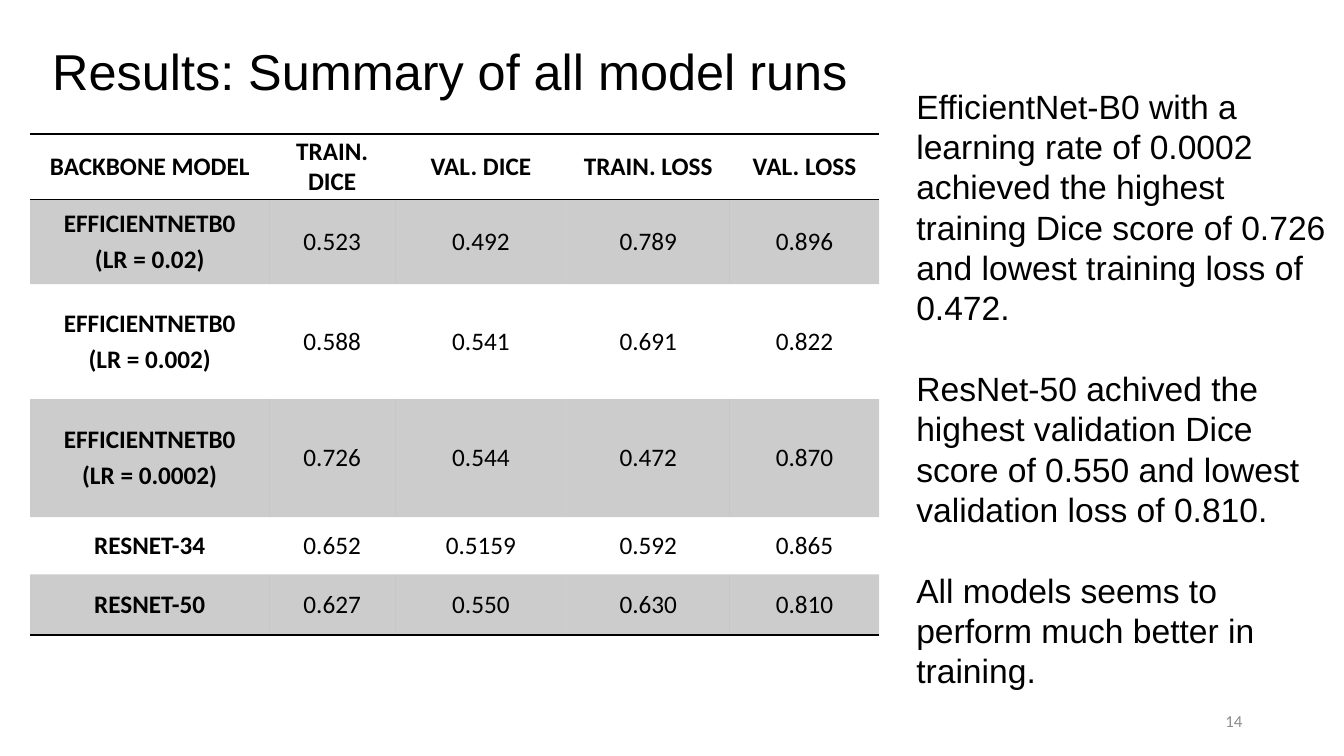
from lxml import etree
from pptx import Presentation
from pptx.dml.color import RGBColor
from pptx.enum.text import MSO_ANCHOR, PP_ALIGN
from pptx.oxml.ns import qn
from pptx.util import Inches, Pt

MIDDLE, TOP = MSO_ANCHOR.MIDDLE, MSO_ANCHOR.TOP
LEFT, CENTER, RIGHT = PP_ALIGN.LEFT, PP_ALIGN.CENTER, PP_ALIGN.RIGHT
BLACK, GRAY = "000000", "8C8C8C"
COLUMN_WIDTHS = [2.37, 1.25, 1.7, 1.62, 1.48]
ROW_HEIGHTS = [0.65, 0.84, 1.14, 1.17, 0.57, 0.6]
RESULTS = [
    ["BACKBONE MODEL", "TRAIN. DICE", "VAL. DICE", "TRAIN. LOSS", "VAL. LOSS"],
    ["EFFICIENTNETB0\n(LR = 0.02)", "0.523", "0.492", "0.789", "0.896"],
    ["EFFICIENTNETB0\n(LR = 0.002)", "0.588", "0.541", "0.691", "0.822"],
    ["EFFICIENTNETB0\n(LR = 0.0002)", "0.726", "0.544", "0.472", "0.870"],
    ["RESNET-34", "0.652", "0.5159", "0.592", "0.865"],
    ["RESNET-50", "0.627", "0.550", "0.630", "0.810"],
]
FINDINGS = [
    "EfficientNet-B0 with a learning rate of 0.0002 achieved the highest "
    "training Dice score of 0.726 and lowest training loss of 0.472.",
    "ResNet-50 achived the highest validation Dice score of 0.550 and lowest "
    "validation loss of 0.810.",
    "All models seems to perform much better in training.",
]


def color(value):
    return RGBColor.from_string(value)


def write(frame, lines, size, font="Arial", fill=BLACK, bold=False, align=LEFT,
          line_spacing=None, before=0, after=0):
    """Fill a text frame with one paragraph per line; the first has no space before."""
    frame.word_wrap = True
    for index, line in enumerate(lines):
        paragraph = frame.add_paragraph() if index else frame.paragraphs[0]
        paragraph.alignment = align
        paragraph.line_spacing = line_spacing
        paragraph.space_before = Pt(before if index else 0)
        paragraph.space_after = Pt(after)
        run = paragraph.add_run()
        run.text = line
        run.font.size, run.font.name, run.font.bold = Pt(size), font, bold
        run.font.color.rgb = color(fill)


def add_text(slide, box, lines, size, anchor=TOP, **text_format):
    shape = slide.shapes.add_textbox(*map(Inches, box))
    shape.text_frame.vertical_anchor = anchor
    write(shape.text_frame, lines, size, **text_format)


def set_borders(cell, ruled_sides):
    """Rule the given sides in black and clear the others."""
    properties = cell._tc.get_or_add_tcPr()
    for position, side in enumerate("LRTB"):
        line = etree.Element(qn(f"a:ln{side}"), w=str(Pt(1)))
        if side in ruled_sides:
            solid = etree.SubElement(line, qn("a:solidFill"))
            etree.SubElement(solid, qn("a:srgbClr"), val=BLACK)
        else:
            etree.SubElement(line, qn("a:noFill"))
        properties.insert(position, line)


def shade(cell, opacity):
    cell.fill.solid()
    cell.fill.fore_color.rgb = color(BLACK)
    srgb = cell._tc.tcPr.find(f"{qn('a:solidFill')}/{qn('a:srgbClr')}")
    etree.SubElement(srgb, qn("a:alpha"), val=str(opacity * 1000))


def add_results_table(slide, left, top):
    rows, columns = len(ROW_HEIGHTS), len(COLUMN_WIDTHS)
    table = slide.shapes.add_table(
        rows, columns, Inches(left), Inches(top),
        Inches(sum(COLUMN_WIDTHS)), Inches(sum(ROW_HEIGHTS))).table
    table.first_row = table.horz_banding = False
    for column, width in zip(table.columns, COLUMN_WIDTHS):
        column.width = Inches(width)
    for row, height in zip(table.rows, ROW_HEIGHTS):
        row.height = Inches(height)
    ruled_sides = {0: "TB", 1: "T", rows - 1: "B"}
    for row, values in enumerate(RESULTS):
        for column, value in enumerate(values):
            cell = table.cell(row, column)
            cell.margin_left = cell.margin_right = Inches(0.07)
            cell.margin_top = cell.margin_bottom = 0
            cell.vertical_anchor = MIDDLE
            write(cell.text_frame, value.split("\n"), 18, font="Calibri",
                  bold=row == 0 or column == 0, align=CENTER, after=4)
            if row % 2:
                shade(cell, 20)
            else:
                cell.fill.background()
            set_borders(cell, ruled_sides.get(row, ""))


def build_results_slide(presentation):
    slide = presentation.slides.add_slide(presentation.slide_layouts[6])
    add_results_table(slide, 0.3, 1.33)
    add_text(slide, (0.42, 0.01, 11.5, 1.45), ["Results: Summary of all model runs"],
             36, anchor=MIDDLE, line_spacing=0.9)
    add_text(slide, (8.99, 0.8, 4.34, 6.16), FINDINGS, 24, before=28.8)
    add_text(slide, (9.42, 6.95, 3, 0.4), ["14"], 12, anchor=MIDDLE,
             font="Calibri", fill=GRAY, align=RIGHT)


def main():
    presentation = Presentation()
    presentation.slide_width, presentation.slide_height = Inches(13.33), Inches(7.5)
    build_results_slide(presentation)
    presentation.save("out.pptx")


if __name__ == "__main__":
    main()
